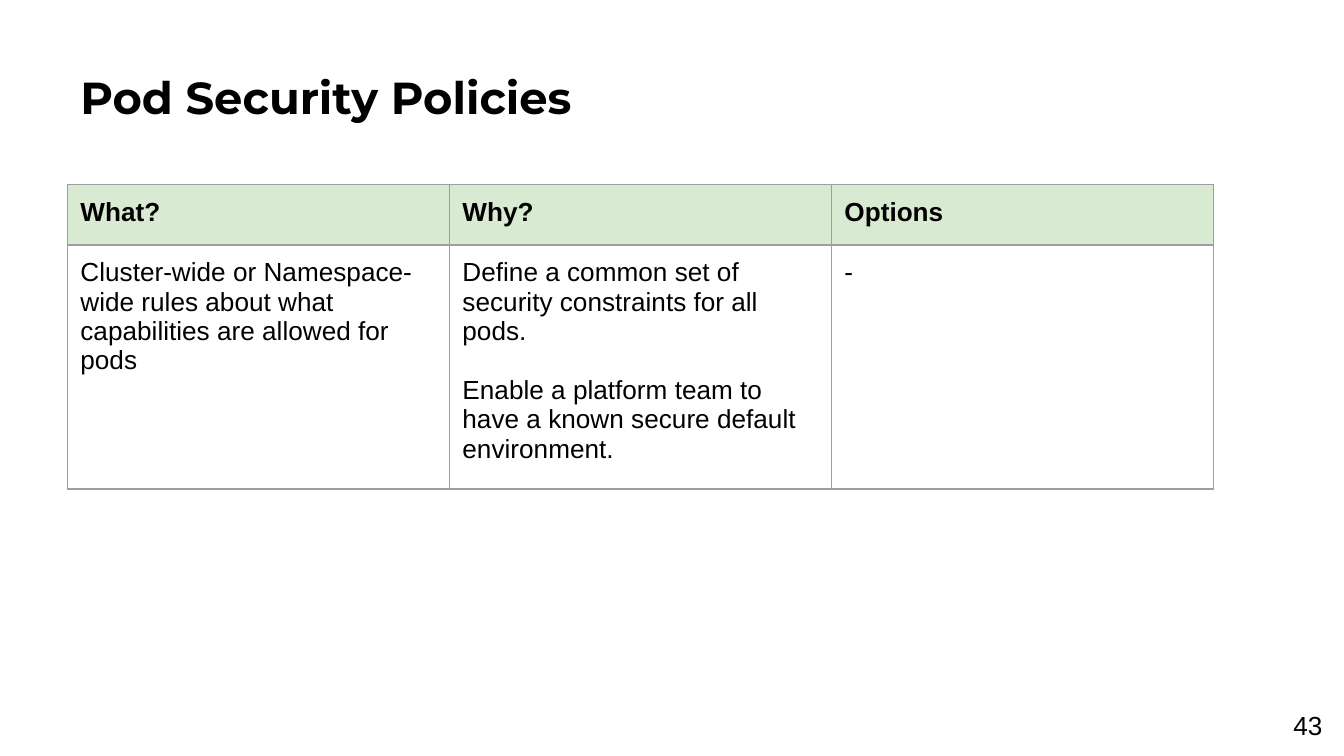
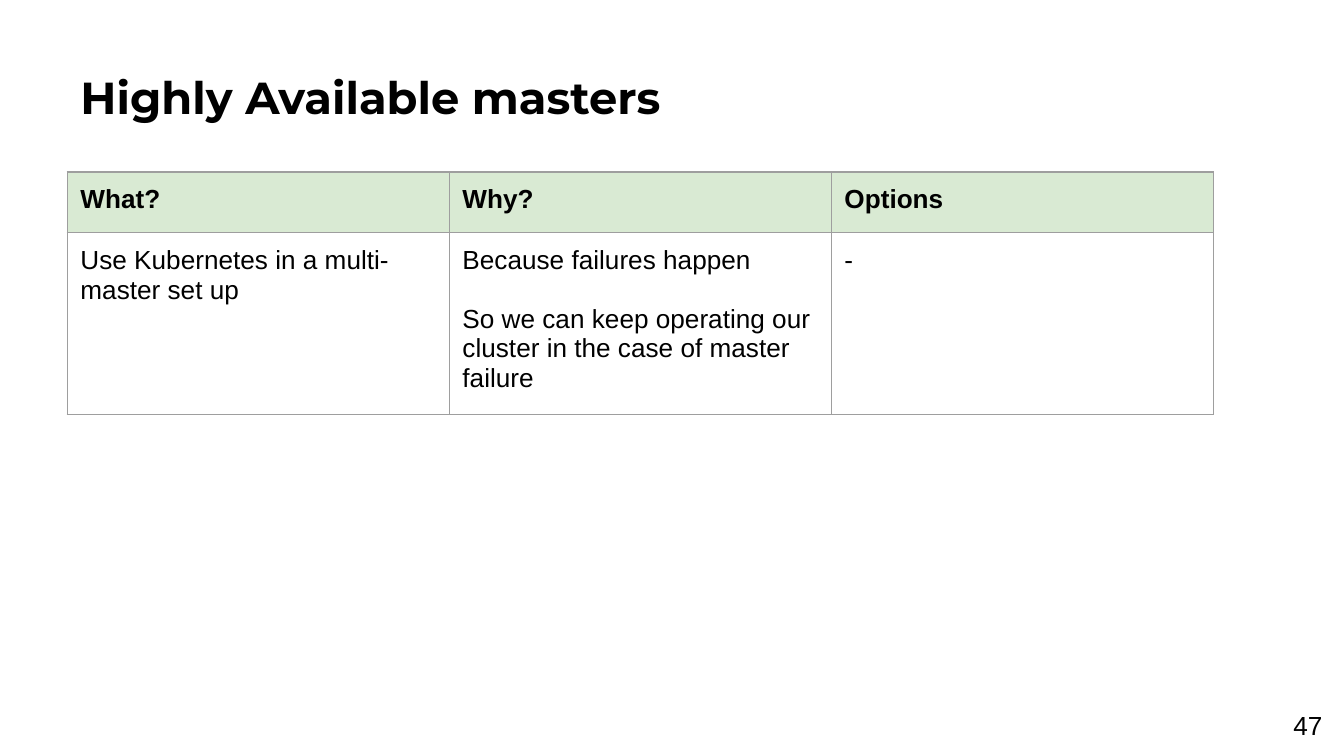
from pptx import Presentation
from pptx import util as u
from pptx.dml.color import RGBColor
from pptx.enum import text
from pptx.oxml import parse_xml
from pptx.oxml.ns import nsdecls

HEADERS = ["What?", "Why?", "Options"]
SLIDES = [
    {
        "title": "Pod Security Policies",
        "number": "43",
        "table_top": 3.48,
        "cells": [
            ["Cluster-wide or Namespace-wide rules about what capabilities are allowed for pods"],
            ["Define a common set of security constraints for all pods.",
             "Enable a platform team to have a known secure default environment."],
            ["-"],
        ],
    },
    {
        "title": "Highly Available masters",
        "number": "47",
        "table_top": 3.25,
        "cells": [
            ["Use Kubernetes in a multi-master set up"],
            ["Because failures happen",
             "So we can keep operating our cluster in the case of master failure"],
            ["-"],
        ],
    },
]

BLACK = RGBColor(0x00, 0x00, 0x00)
HEADER_GREEN = RGBColor(0xD9, 0xEA, 0xD3)
BORDER_GREY = RGBColor(0x9E, 0x9E, 0x9E)
TITLE_FONT, BODY_FONT = "Montserrat", "Arial"
TITLE_SIZE, BODY_SIZE = 24, 14
PARAGRAPH_GAP = u.Pt(15.75)
BORDER_WIDTH = u.Pt(0.75)
INSET = u.Cm(0.25)
LEFT = u.Cm(1.27)
COLUMN_WIDTH = u.Cm(7.22)
ROW_HEIGHTS = [u.Cm(1.15), u.Cm(1.12)]


def write(tf, paragraphs, font=BODY_FONT, size=BODY_SIZE, bold=False, align=None):
    tf.word_wrap = True
    for i, line in enumerate(paragraphs):
        p = tf.add_paragraph() if i else tf.paragraphs[0]
        if i:
            p.space_before = PARAGRAPH_GAP
        p.alignment = align
        r = p.add_run()
        r.text = line
        r.font.name, r.font.size, r.font.bold = font, u.Pt(size), bold
        r.font.color.rgb = BLACK


def set_insets(box):
    box.margin_left = box.margin_right = box.margin_top = box.margin_bottom = INSET


def add_text(s, line, left, top, width, height, anchor, **style):
    tf = s.shapes.add_textbox(u.Cm(left), u.Cm(top), u.Cm(width), u.Cm(height)).text_frame
    set_insets(tf)
    tf.vertical_anchor = anchor
    write(tf, [line], **style)


def add_borders(cell):
    tc_pr = cell._tc.get_or_add_tcPr()
    for side in ("lnL", "lnR", "lnT", "lnB"):
        tc_pr.append(parse_xml(
            f'<a:{side} {nsdecls("a")} w="{BORDER_WIDTH}"><a:solidFill>'
            f'<a:srgbClr val="{BORDER_GREY}"/></a:solidFill></a:{side}>'))


def add_table(s, top, cells):
    rows = [[[header] for header in HEADERS], cells]
    table = s.shapes.add_table(len(rows), len(HEADERS), LEFT, u.Cm(top),
                               COLUMN_WIDTH * len(HEADERS), sum(ROW_HEIGHTS)).table
    table.horz_banding = table.first_row = False
    for column in table.columns:
        column.width = COLUMN_WIDTH
    for i, row in enumerate(rows):
        table.rows[i].height = ROW_HEIGHTS[i]
        is_header = i == 0
        for j, paragraphs in enumerate(row):
            cell = table.cell(i, j)
            set_insets(cell)
            add_borders(cell)
            if is_header:
                cell.fill.solid()
                cell.fill.fore_color.rgb = HEADER_GREEN
            else:
                cell.fill.background()
            write(cell.text_frame, paragraphs, bold=is_header)


def main():
    prs = Presentation()
    prs.slide_width, prs.slide_height = u.Cm(25.4), u.Cm(14.29)
    for content in SLIDES:
        s = prs.slides.add_slide(prs.slide_layouts[6])
        add_text(s, content["title"], 1.27, 1.07, 22.94, 1.65, text.MSO_ANCHOR.TOP,
                 font=TITLE_FONT, size=TITLE_SIZE, bold=True)
        add_text(s, content["number"], 24.1, 13.16, 1.24, 1.09, text.MSO_ANCHOR.MIDDLE,
                 align=text.PP_ALIGN.CENTER)
        add_table(s, content["table_top"], content["cells"])
    prs.save("out.pptx")


if __name__ == "__main__":
    main()
